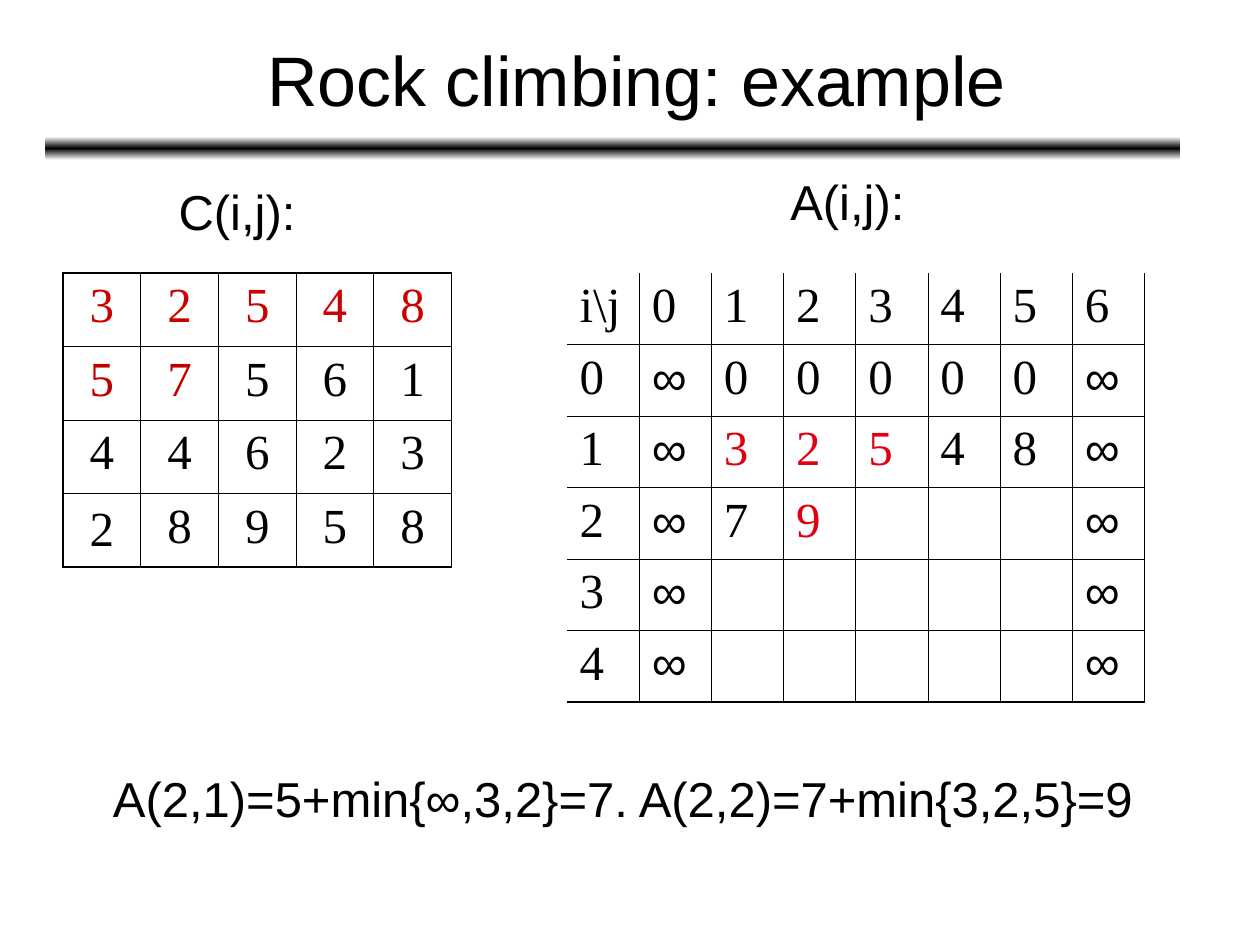
"""Build the rock climbing slide with its cost table and partly filled answer table."""
from copy import deepcopy
from dataclasses import dataclass

from lxml.etree import SubElement
from pptx import Presentation
from pptx.dml.color import RGBColor
from pptx.enum.shapes import MSO_SHAPE
from pptx.enum.text import MSO_ANCHOR, MSO_AUTO_SIZE, PP_ALIGN
from pptx.oxml.ns import qn
from pptx.slide import Slide
from pptx.table import _Cell
from pptx.text.text import _Paragraph
from pptx.util import Pt

BLACK = RGBColor(0x00, 0x00, 0x00)
WHITE = RGBColor(0xFF, 0xFF, 0xFF)
COST_RED = RGBColor(0xCC, 0x00, 0x00)
DARK_RED = RGBColor(0xC0, 0x00, 0x00)
ANSWER_RED = RGBColor(0xDD, 0x01, 0x11)
SANS = "Arial"
SERIF = "Times New Roman"
BODY_SIZE = 28
THIN = 0.45
THICK = 1.08


@dataclass
class Label:
    text: str
    left: float
    top: float
    width: float


@dataclass
class Grid:
    rows: list[list[str]]
    left: float
    top: float
    width: float
    height: float
    align: PP_ALIGN
    highlights: dict[tuple[int, int], RGBColor]
    outer: dict[str, float]


LABELS = [
    Label("C(i,j):", 95, 104, 83),
    Label("A(i,j):", 444.5, 98, 82),
    Label("A(2,1)=5+min{∞,3,2}=7. A(2,2)=7+min{3,2,5}=9", 57.5, 439.5, 609),
]

COSTS = Grid(
    rows=[list("32548"), list("57561"), list("44623"), list("28958")],
    left=36, top=156, width=222, height=168, align=PP_ALIGN.CENTER,
    highlights={(0, col): COST_RED for col in range(5)} | {(1, 0): DARK_RED, (1, 1): DARK_RED},
    outer={"L": THICK, "R": THICK, "T": THICK, "B": THICK},
)

ANSWERS = Grid(
    rows=[
        ["i\\j", *"0123456"],
        list("0∞00000∞"),
        list("1∞32548∞"),
        ["2", "∞", "7", "9", "", "", "", "∞"],
        ["3", "∞", "", "", "", "", "", "∞"],
        ["4", "∞", "", "", "", "", "", "∞"],
    ],
    left=324, top=156, width=330, height=245, align=PP_ALIGN.LEFT,
    highlights={cell: ANSWER_RED for cell in [(2, 2), (2, 3), (2, 4), (3, 3)]},
    outer={"L": 0, "R": THICK, "T": 0, "B": THICK},
)


def add_run(paragraph: _Paragraph, text: str, size: float, font: str, color: RGBColor) -> None:
    run = paragraph.add_run()
    run.text = text
    run.font.size = Pt(size)
    run.font.name = font
    run.font.color.rgb = color


def add_title(slide: Slide, text: str) -> None:
    title = slide.shapes.title
    title.left, title.top, title.width, title.height = Pt(57.6), Pt(0), Pt(612), Pt(90)
    frame = title.text_frame
    frame.auto_size = MSO_AUTO_SIZE.NONE
    frame.vertical_anchor = MSO_ANCHOR.MIDDLE
    frame.paragraphs[0].alignment = PP_ALIGN.CENTER
    add_run(frame.paragraphs[0], text, 40, SANS, BLACK)


def add_divider(slide: Slide) -> None:
    divider = slide.shapes.add_shape(
        MSO_SHAPE.ROUNDED_RECTANGLE, Pt(26), Pt(78), Pt(648.5), Pt(13.5))
    divider.shadow.inherit = False
    divider.line.fill.background()
    divider.fill.gradient()
    divider.fill.gradient_angle = 270
    stop_list = divider.fill._xPr.find(qn("a:gradFill")).find(qn("a:gsLst"))
    stop_list.append(deepcopy(stop_list[-1]))
    for stop, position, color in zip(
            divider.fill.gradient_stops, (0, 0.5, 1), (WHITE, BLACK, WHITE)):
        stop.position = position
        stop.color.rgb = color


def add_label(slide: Slide, label: Label) -> None:
    box = slide.shapes.add_textbox(Pt(label.left), Pt(label.top), Pt(label.width), Pt(37.5))
    frame = box.text_frame
    frame.word_wrap = False
    frame.auto_size = MSO_AUTO_SIZE.SHAPE_TO_FIT_TEXT
    frame.paragraphs[0].line_spacing = 0.9
    add_run(frame.paragraphs[0], label.text, BODY_SIZE, SANS, BLACK)


def set_borders(cell: _Cell, widths: dict[str, float]) -> None:
    properties = cell._tc.get_or_add_tcPr()
    for index, (side, width) in enumerate(widths.items()):
        line = SubElement(properties, qn(f"a:ln{side}"), w=str(Pt(width)))
        if width:
            fill = SubElement(line, qn("a:solidFill"))
            SubElement(fill, qn("a:srgbClr"), val=str(BLACK))
        else:
            SubElement(line, qn("a:noFill"))
        properties.insert(index, line)


def add_grid(slide: Slide, grid: Grid) -> None:
    row_count, col_count = len(grid.rows), len(grid.rows[0])
    table = slide.shapes.add_table(
        row_count, col_count, Pt(grid.left), Pt(grid.top), Pt(grid.width), Pt(grid.height)).table
    table.first_row = False
    table.horz_banding = False
    for r, values in enumerate(grid.rows):
        for c, value in enumerate(values):
            cell = table.cell(r, c)
            cell.fill.background()
            on_edge = {"L": c == 0, "R": c == col_count - 1, "T": r == 0, "B": r == row_count - 1}
            set_borders(cell, {
                side: grid.outer[side] if edge else THIN for side, edge in on_edge.items()})
            if value:
                paragraph = cell.text_frame.paragraphs[0]
                paragraph.alignment = grid.align
                paragraph.space_before = Pt(7)
                add_run(paragraph, value, BODY_SIZE, SANS if value == "∞" else SERIF,
                        grid.highlights.get((r, c), BLACK))
    if grid is COSTS:
        table.cell(row_count - 1, 0).vertical_anchor = MSO_ANCHOR.MIDDLE


def main() -> None:
    presentation = Presentation()
    presentation.slide_width, presentation.slide_height = Pt(720), Pt(540)
    slide = presentation.slides.add_slide(presentation.slide_layouts[5])
    add_divider(slide)
    add_title(slide, "Rock climbing: example")
    add_grid(slide, COSTS)
    for label in LABELS:
        add_label(slide, label)
    add_grid(slide, ANSWERS)
    presentation.save("out.pptx")


if __name__ == "__main__":
    main()
